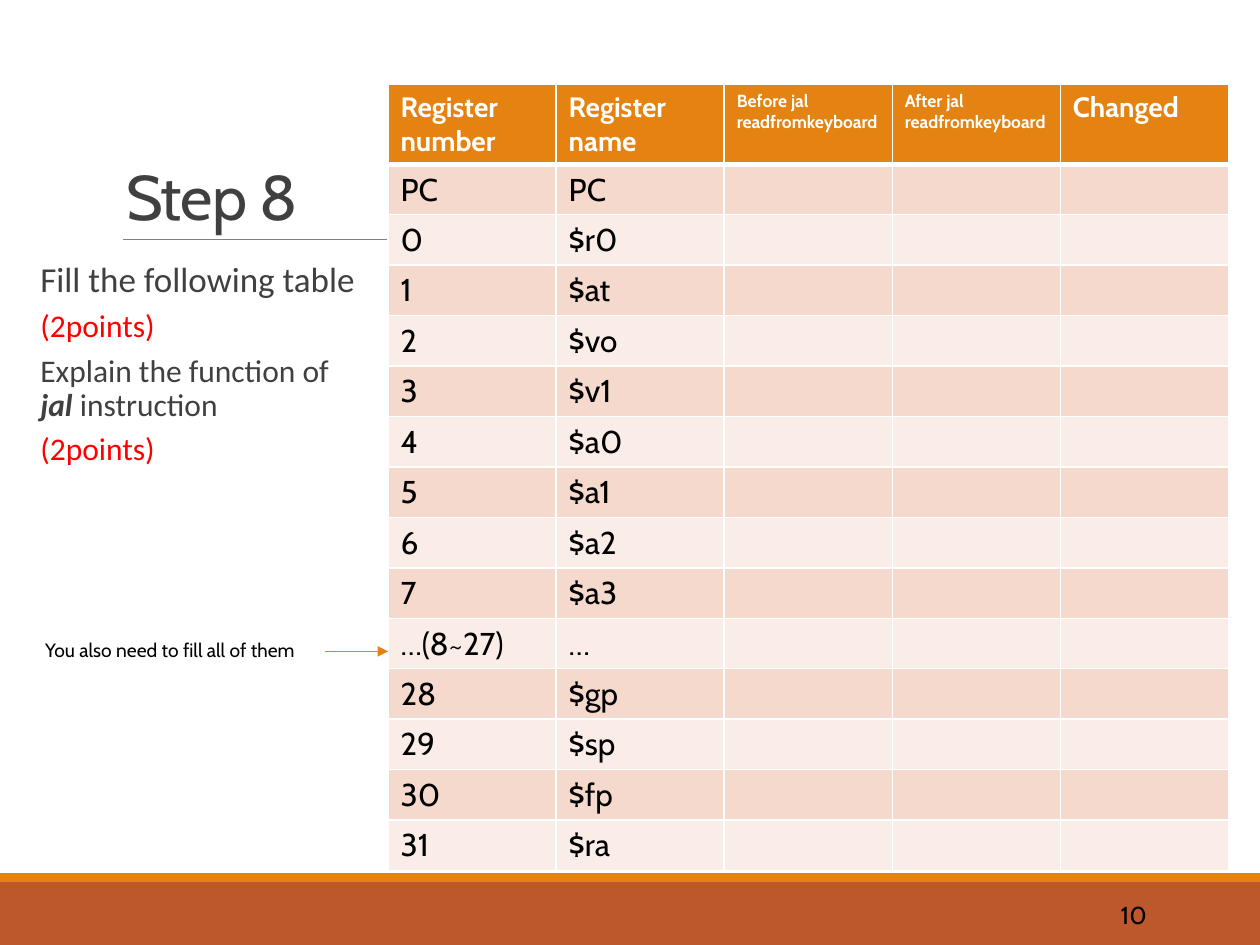
from lxml import etree
from pptx import Presentation
from pptx.dml.color import RGBColor
from pptx.enum import shapes, text
from pptx.oxml import ns
from pptx.util import Inches, Pt

ORANGE, RUST, WHITE, BLACK = "E48312", "BD582C", "FFFFFF", "000000"
GREY, RED = "404040", "FF0000"
BANDS = ("F5D9CC", "FAEDE7")

# Each paragraph is a list of (words, size, colour, emphasised)
INSTRUCTIONS = [
    [("Fill the following table", 20, GREY, False)],
    [("(2points)", 18, RED, False)],
    [("Explain the function of ", 18, GREY, False),
     ("jal ", 18, GREY, True),
     ("instruction", 18, GREY, False)],
    [("(2points)", 18, RED, False)],
]
HEADERS = [
    ("Register number", 16),
    ("Register name", 16),
    ("Before jal readfromkeyboard", 10),
    ("After jal readfromkeyboard", 10),
    ("Changed", 16),
]
REGISTERS = [
    ("PC", "PC"), ("0", "$r0"), ("1", "$at"), ("2", "$vo"), ("3", "$v1"),
    ("4", "$a0"), ("5", "$a1"), ("6", "$a2"), ("7", "$a3"),
    ("…(8~27)", "…"), ("28", "$gp"), ("29", "$sp"), ("30", "$fp"), ("31", "$ra"),
]


def rgb(value):
    return RGBColor.from_string(value)


def style(font, size, color, name="Cabin", bold=False, italic=False):
    font.name, font.size, font.bold, font.italic = name, Pt(size), bold, italic
    font.color.rgb = rgb(color)


def place(shape, left, top, width, height):
    shape.left, shape.top = Inches(left), Inches(top)
    shape.width, shape.height = Inches(width), Inches(height)


def add_bar(page, top, height, color):
    bar = page.shapes.add_shape(
        shapes.MSO_SHAPE.RECTANGLE, 0, Inches(top), Inches(10), Inches(height))
    bar.shadow.inherit = False
    bar.fill.solid()
    bar.fill.fore_color.rgb = rgb(color)
    bar.line.fill.background()


def add_line(page, start, end, color, width, arrow=False):
    line = page.shapes.add_connector(
        shapes.MSO_CONNECTOR.STRAIGHT, *map(Inches, start + end))
    line.line.color.rgb = rgb(color)
    line.line.width = Pt(width)
    if arrow:
        etree.SubElement(line.line._get_or_add_ln(), ns.qn("a:tailEnd"), type="triangle")
    etree.SubElement(line._element.spPr, ns.qn("a:effectLst"))


def add_label(page, words, area, size, wrap=True):
    box = page.shapes.add_textbox(*map(Inches, area))
    box.text_frame.word_wrap = wrap
    para = box.text_frame.paragraphs[0]
    para.text = words
    style(para.runs[0].font, size, BLACK)
    return box


def fill_title(title):
    place(title, 0.9, 0.31, 8.25, 1.59)
    frame = title.text_frame
    frame.text = "Step 8"
    frame.vertical_anchor = text.MSO_ANCHOR.BOTTOM
    frame.auto_size = text.MSO_AUTO_SIZE.NONE
    para = frame.paragraphs[0]
    para.alignment = text.PP_ALIGN.LEFT
    para.line_spacing = 0.85
    font = para.runs[0].font
    style(font, 36, GREY)
    font._element.set("spc", "-50")


def fill_body(body):
    place(body, 0, 2.03, 2.83, 4.83)
    frame = body.text_frame
    frame.margin_left = frame.margin_right = 0
    frame.auto_size = text.MSO_AUTO_SIZE.NONE
    for index, spans in enumerate(INSTRUCTIONS):
        para = frame.add_paragraph() if index else frame.paragraphs[0]
        para.level = 1
        para.line_spacing, para.space_before, para.space_after = 0.9, Pt(2), Pt(4)
        props = para._p.get_or_add_pPr()
        props.set("marL", str(Inches(0.32)))
        props.set("indent", "0")
        etree.SubElement(props, ns.qn("a:buNone"))
        for words, size, color, strong in spans:
            span = para.add_run()
            span.text = words
            style(span.font, size, color, "Calibri", strong, strong)


def paint_cell(cell, fill, bottom, top):
    """Give a cell white borders, the horizontal ones in points, and a fill."""
    props = cell._tc.get_or_add_tcPr()
    for side, width in (("L", 1), ("R", 1), ("T", top), ("B", bottom)):
        border = etree.SubElement(props, ns.qn(f"a:ln{side}"), w=str(Pt(width)))
        paint = etree.SubElement(border, ns.qn("a:solidFill"))
        etree.SubElement(paint, ns.qn("a:srgbClr"), val=WHITE)
    cell.fill.solid()
    cell.fill.fore_color.rgb = rgb(fill)


def add_register_table(page):
    rows, columns = len(REGISTERS) + 1, len(HEADERS)
    table = page.shapes.add_table(
        rows, columns, Inches(3.08), Inches(0.67), Inches(6.67), Inches(0.4 * rows)).table
    for row in range(rows):
        for column in range(columns):
            cell = table.cell(row, column)
            if row == 0:
                words, size = HEADERS[column]
                color, fill = WHITE, ORANGE
            else:
                words = REGISTERS[row - 1][column] if column < 2 else ""
                size, color, fill = 18, BLACK, BANDS[(row - 1) % 2]
            paint_cell(cell, fill, 3 if row == 0 else 1, 3 if row == 1 else 1)
            para = cell.text_frame.paragraphs[0]
            para.text = words
            for span in para.runs:
                style(span.font, size, color, bold=row == 0)


def main():
    deck = Presentation()
    deck.slide_width, deck.slide_height = Inches(10), Inches(7.5)
    page = deck.slides.add_slide(deck.slide_layouts[1])

    add_bar(page, 7, 0.5, RUST)
    add_bar(page, 6.93, 0.07, ORANGE)
    add_line(page, (0.98, 1.9), (9.15, 1.9), "808080", 0.5)
    fill_title(page.shapes.title)
    fill_body(page.placeholders[1])

    number = add_label(page, "10", (8.12, 7.06, 1.08, 0.4), 14)
    number.text_frame.vertical_anchor = text.MSO_ANCHOR.MIDDLE
    number.text_frame.paragraphs[0].alignment = text.PP_ALIGN.RIGHT

    add_register_table(page)
    add_line(page, (2.58, 5.17), (3.08, 5.17), ORANGE, 1, arrow=True)
    add_label(page, "You also need to fill all of them", (0.26, 5.02, 2.33, 0.29), 11, wrap=False)
    deck.save("out.pptx")


if __name__ == "__main__":
    main()
